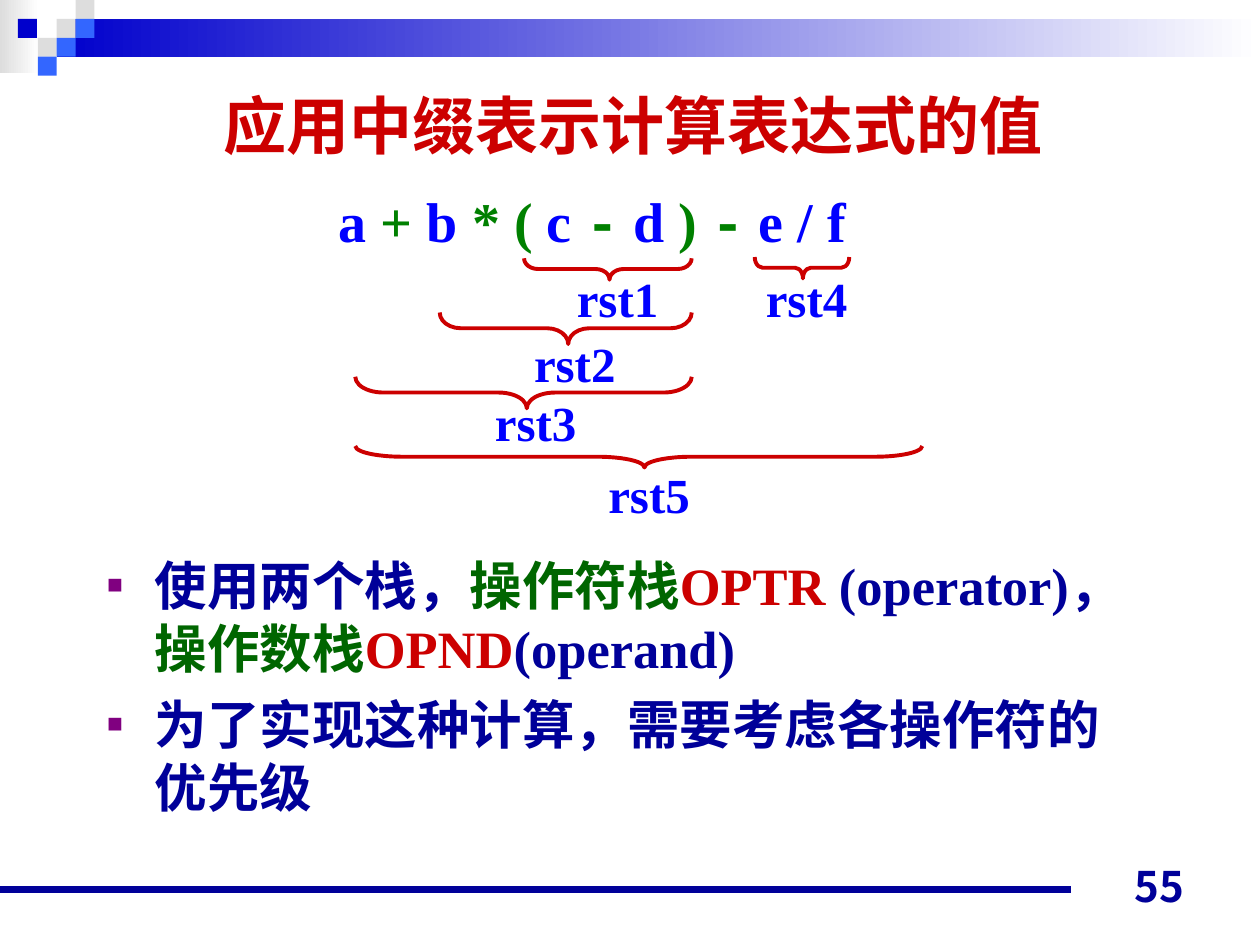
from lxml import etree
from pptx import Presentation
from pptx.dml.color import RGBColor
from pptx.enum.shapes import MSO_CONNECTOR, MSO_SHAPE
from pptx.enum.text import MSO_ANCHOR, MSO_AUTO_SIZE, PP_ALIGN
from pptx.oxml.ns import qn
from pptx.util import Inches, Pt

RECTANGLE = MSO_SHAPE.RECTANGLE
BRACE = MSO_SHAPE.LEFT_BRACE
STRAIGHT = MSO_CONNECTOR.STRAIGHT
LEFT, RIGHT = PP_ALIGN.LEFT, PP_ALIGN.RIGHT
TOP, MIDDLE, BOTTOM = MSO_ANCHOR.TOP, MSO_ANCHOR.MIDDLE, MSO_ANCHOR.BOTTOM

WHITE = RGBColor(0xFF, 0xFF, 0xFF)
GRAY = RGBColor(0xDD, 0xDD, 0xDD)
DEEP_BLUE = RGBColor(0x00, 0x00, 0xCC)
SKY_BLUE = RGBColor(0x33, 0x66, 0xFF)
NAVY = RGBColor(0x00, 0x00, 0x99)
BLUE = RGBColor(0x00, 0x00, 0xFF)
GREEN = RGBColor(0x00, 0x80, 0x00)
DARK_GREEN = RGBColor(0x00, 0x66, 0x00)
RED = RGBColor(0xCC, 0x00, 0x00)
PURPLE = "800080"
SERIF, MONO, SANS = "Times New Roman", "Courier New", "Noto Sans CJK JP"


def write(para, size, spans):
    for text, color, *font in spans:
        span = para.add_run()
        span.text = text
        look = {"name": font[0] if font else SERIF, "size": Pt(size), "bold": True}
        for name, value in look.items():
            setattr(span.font, name, value)
        span.font.color.rgb = color


def place(box, left, top, width, height, anchor=TOP, wrap=True):
    bounds = {"left": left, "top": top, "width": width, "height": height}
    for name, value in bounds.items():
        setattr(box, name, Inches(value))
    frame = box.text_frame
    layout = {"vertical_anchor": anchor, "word_wrap": wrap, "auto_size": MSO_AUTO_SIZE.NONE}
    for name, value in layout.items():
        setattr(frame, name, value)
    return frame


deck = Presentation()
deck.slide_width, deck.slide_height = Inches(10), Inches(7.5)
page = deck.slides.add_slide(deck.slide_layouts[1])
shapes = page.shapes

UNIT = 0.15
banner = [
    (0, 0, 0.31, 0.58, GRAY, True),
    (3 * UNIT, UNIT, 9.55, 2 * UNIT, DEEP_BLUE, True),
]
squares = [
    (3, 1, GRAY), (4, 0, GRAY), (4, 1, SKY_BLUE), (2, 2, GRAY),
    (0.95, 1, DEEP_BLUE), (3, 2, SKY_BLUE), (2, 3, SKY_BLUE),
]
banner += [(column * UNIT, row * UNIT, UNIT, UNIT, color, False) for column, row, color in squares]
for left, top, width, height, color, fades in banner:
    block = shapes.add_shape(RECTANGLE, Inches(left), Inches(top), Inches(width), Inches(height))
    block.shadow.inherit = False
    block.line.fill.background()
    if fades:
        block.fill.gradient()
        block.fill.gradient_angle = 0
        for stop, shade in zip(block.fill.gradient_stops, (color, WHITE)):
            stop.color.rgb = shade
    else:
        block.fill.solid()
        block.fill.fore_color.rgb = color

rule = shapes.add_connector(STRAIGHT, 0, Inches(7.06), Inches(8.5), Inches(7.06))
rule.line.color.rgb = NAVY
rule.line.width = Pt(4.5)
etree.SubElement(rule._element.spPr, qn("a:effectLst"))

title = place(shapes.title, 1.67, 0.5, 6.92, 0.97, MIDDLE)
title.paragraphs[0].alignment = LEFT
write(title.paragraphs[0], 36, [("应用中缀表示计算表达式的值", RED)])

points = [
    [
        ("使用两个栈，", NAVY), ("操作符栈", DARK_GREEN), ("OPTR", RED), (" (operator)，", NAVY),
        ("操作数栈", DARK_GREEN), ("OPND", RED), ("(operand)", NAVY),
    ],
    [("为了实现这种计算，需要考虑各操作符的优先级", NAVY)],
]
body = place(page.placeholders[1], 0.75, 4.34, 8.43, 2.36)
for index, spans in enumerate(points):
    para = body.add_paragraph() if index else body.paragraphs[0]
    props = para._p.get_or_add_pPr()
    props.set("marL", str(Inches(0.38)))
    props.set("indent", str(Inches(-0.38)))
    bullet_color = etree.SubElement(props, qn("a:buClr"))
    etree.SubElement(bullet_color, qn("a:srgbClr"), val=PURPLE)
    etree.SubElement(props, qn("a:buSzPct"), val="50000")
    etree.SubElement(props, qn("a:buChar"), char="■")
    para.space_before = Pt(7.5 if index else 0)
    write(para, 30, spans)

results = [
    ("rst1", 4.16, 2.05, 1.33, 0.17, 4.48, 2.08),
    ("rst2", 3.49, 2.48, 2, 0.25, 4.14, 2.6),
    ("rst3", 2.82, 2.99, 2.67, 0.25, 3.83, 3.07),
    ("rst4", 5.99, 2.04, 0.75, 0.17, 5.98, 2.08),
    ("rst5", 2.82, 3.54, 4.5, 0.17, 4.73, 3.64),
]
for label, left, top, length, depth, label_left, label_top in results:
    brace = shapes.add_shape(
        BRACE,
        Inches(left + (length - depth) / 2), Inches(top + (depth - length) / 2),
        Inches(depth), Inches(length),
    )
    brace.rotation = 270
    brace.adjustments[0] = length / 12 / depth
    brace.adjustments[1] = 0.51
    brace.shadow.inherit = False
    brace.fill.background()
    brace.line.color.rgb = RED
    brace.line.width = Pt(2.25)
    box = shapes.add_textbox(0, 0, 0, 0)
    frame = place(box, label_left, label_top, 0.84, 0.57, wrap=False)
    write(frame.paragraphs[0], 28, [(label, BLUE)])

expression = place(shapes.add_textbox(0, 0, 0, 0), 2.59, 1.43, 4.22, 0.64, wrap=False)
write(expression.paragraphs[0], 32, [
    ("a ", BLUE), ("+", GREEN), (" b ", BLUE), ("* (", GREEN), (" c ", BLUE),
    ("-", GREEN, MONO), (" d ", BLUE), (") ", GREEN), ("-", GREEN, MONO), (" e / f", BLUE),
])

number = place(shapes.add_textbox(0, 0, 0, 0), 7.17, 6.78, 2.33, 0.5, BOTTOM)
number.paragraphs[0].alignment = RIGHT
write(number.paragraphs[0], 24, [("55", NAVY, SANS)])

deck.save("out.pptx")
